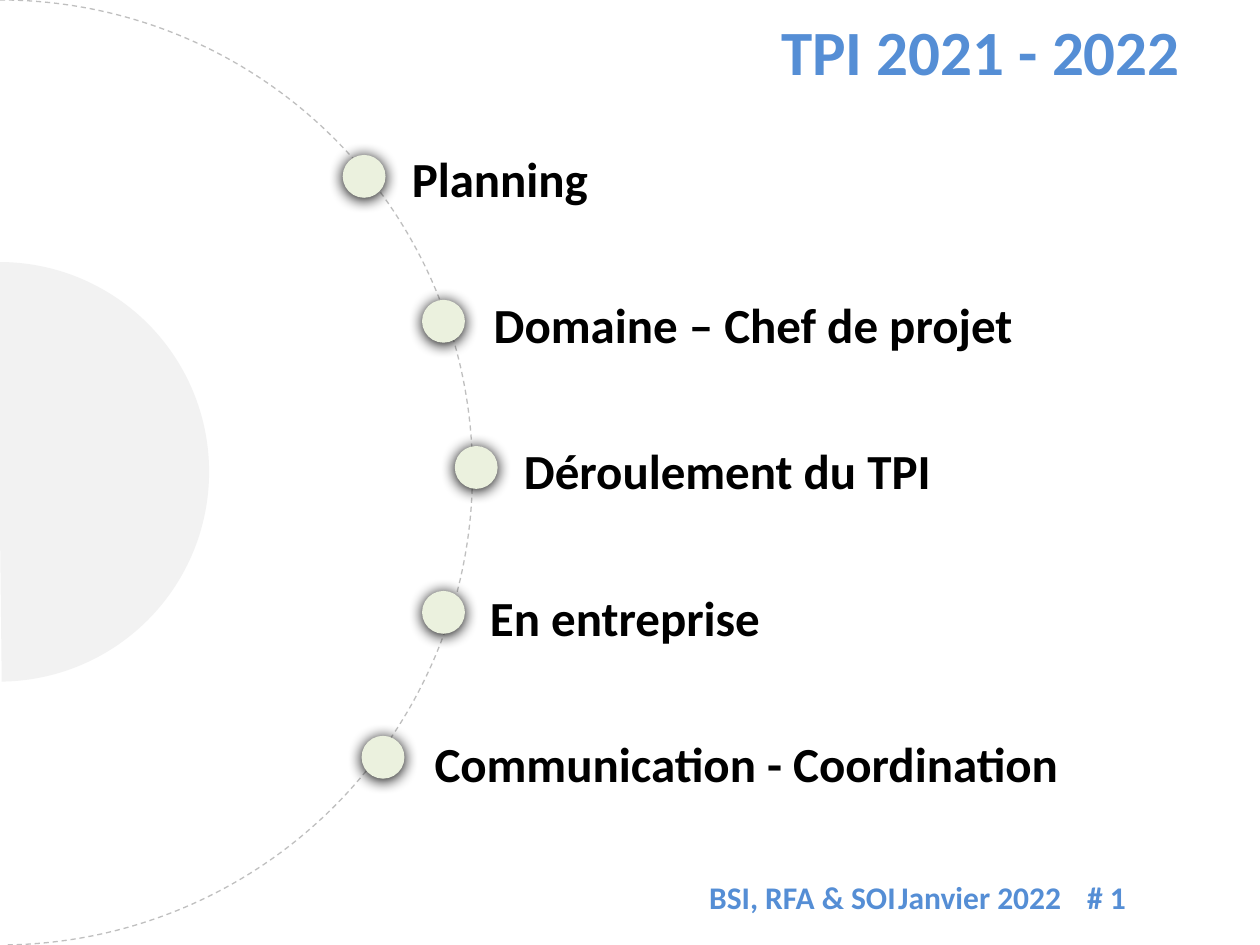
from lxml.etree import SubElement
from pptx import Presentation
from pptx.dml.color import RGBColor
from pptx.enum.dml import MSO_LINE
from pptx.enum.shapes import MSO_SHAPE
from pptx.enum.text import MSO_ANCHOR, PP_ALIGN
from pptx.oxml.ns import qn
from pptx.util import Pt

PX = 9144  # EMU per px, 100 px to the inch
BLUE = RGBColor(0x55, 0x8E, 0xD5)
BLACK = RGBColor(0, 0, 0)
WHITE = RGBColor(0xFF, 0xFF, 0xFF)
PALE = RGBColor(0xF2, 0xF2, 0xF2)
GREY = RGBColor(0xBF, 0xBF, 0xBF)
GREEN = RGBColor(0xEB, 0xF1, 0xDE)

# label, dot left, label left, label width
TOPICS = [
    ("Planning", 272, 317, 474),
    ("Domaine – Chef de projet", 335, 382, 465),
    ("Déroulement du TPI", 361, 406, 465),
    ("En entreprise", 335, 379, 292),
    ("Communication - Coordination", 287, 335, 545),
]
DOT_TOP, DOT_STEP, DOT_SIZE = 123, 115.25, 34
LABEL_TOP, LABEL_STEP, LABEL_HIGH = 113, 116, 57


class Deck:
    def __init__(self, wide, high):
        self.prs = Presentation()
        self.prs.slide_width, self.prs.slide_height = wide * PX, high * PX
        self.slide = self.prs.slides.add_slide(self.prs.slide_layouts[5])
        self.font = {"name": "Calibri", "bold": True}

    def fill_text(self, shape, text, size, color):
        frame = shape.text_frame
        frame.word_wrap = True
        frame.vertical_anchor = MSO_ANCHOR.TOP
        para = frame.paragraphs[0]
        para.alignment = PP_ALIGN.LEFT
        run = para.add_run()
        run.text = text
        for key, value in {**self.font, "size": Pt(size)}.items():
            setattr(run.font, key, value)
        run.font.color.rgb = color
        return para

    def title(self, text, box, size, color):
        shape = self.slide.shapes.title
        for key, value in zip(("left", "top", "width", "height"), box):
            setattr(shape, key, value * PX)
        self.fill_text(shape, text, size, color)

    def label(self, text, box, size, color):
        shape = self.slide.shapes.add_textbox(*(n * PX for n in box))
        return self.fill_text(shape, text, size, color)

    def row(self, parts, box, size, color, indent, stops):
        """Set parts on one line, the first at indent, the others at tab stops."""
        para = self.label("\t".join(parts), box, size, color)
        props = para._p.get_or_add_pPr()
        props.set("marL", str(indent * PX))
        props.set("indent", "0")
        tabs = SubElement(props, qn("a:tabLst"))
        for stop in stops:
            SubElement(tabs, qn("a:tab"), pos=str(stop * PX), algn="l")

    def shape(self, kind, box, fill):
        shape = self.slide.shapes.add_shape(kind, *(n * PX for n in box))
        shape.shadow.inherit = False
        shape.fill.solid()
        shape.fill.fore_color.rgb = fill
        shape.line.fill.background()
        return shape

    def arc(self, box, fill, end, line=None):
        arc = self.shape(MSO_SHAPE.ARC, box, fill)
        arc.adjustments[0], arc.adjustments[1] = 162, end
        if line is not None:
            arc.line.color.rgb = line
            arc.line.width = Pt(0.75)
            arc.line.dash_style = MSO_LINE.DASH

    def dot(self, left, top, size, fill):
        dot = self.shape(MSO_SHAPE.OVAL, (left, top, size, size), fill)
        effects = dot._element.spPr.find(qn("a:effectLst"))
        shadow = SubElement(effects, qn("a:outerShdw"), blurRad=str(Pt(8.5)),
                            dist=str(Pt(1)), dir="5400000", algn="t", rotWithShape="0")
        SubElement(shadow, qn("a:srgbClr"), val=str(BLACK))


def main():
    deck = Deck(1000, 750)
    deck.title("TPI 2021 - 2022", (610, 5, 385, 71), 36, BLUE)
    deck.row(("BSI, RFA & SOI", "Janvier 2022", "# 1"),
             (453, 692, 535, 40), 18, BLUE, 100, (298, 485))
    deck.arc((-375, 0, 750, 750), WHITE, 53.71, GREY)
    deck.arc((-167, 208, 333, 333), PALE, 53.6)
    for i, (text, left, start, wide) in enumerate(TOPICS):
        deck.label(text, (start, LABEL_TOP + i * LABEL_STEP, wide, LABEL_HIGH), 28, BLACK)
        deck.dot(left, round(DOT_TOP + i * DOT_STEP), DOT_SIZE, GREEN)
    deck.prs.save("out.pptx")


if __name__ == "__main__":
    main()
